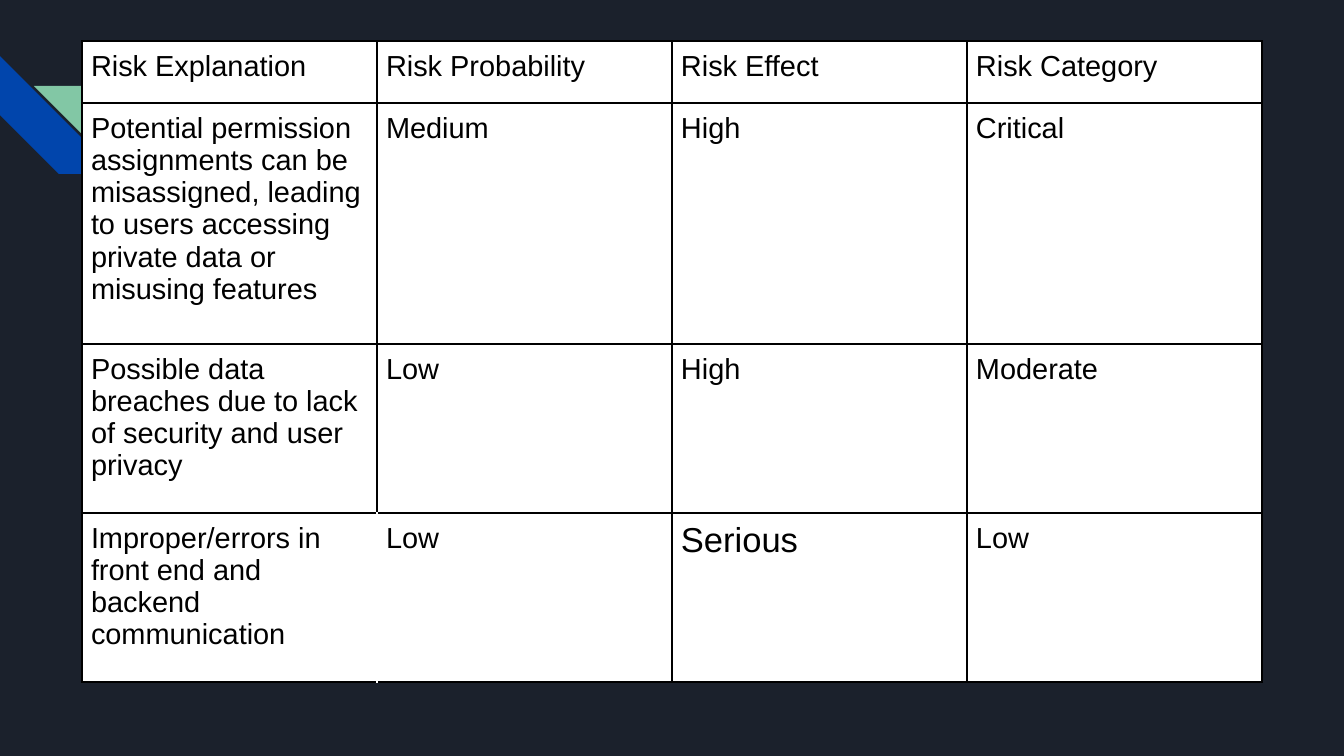
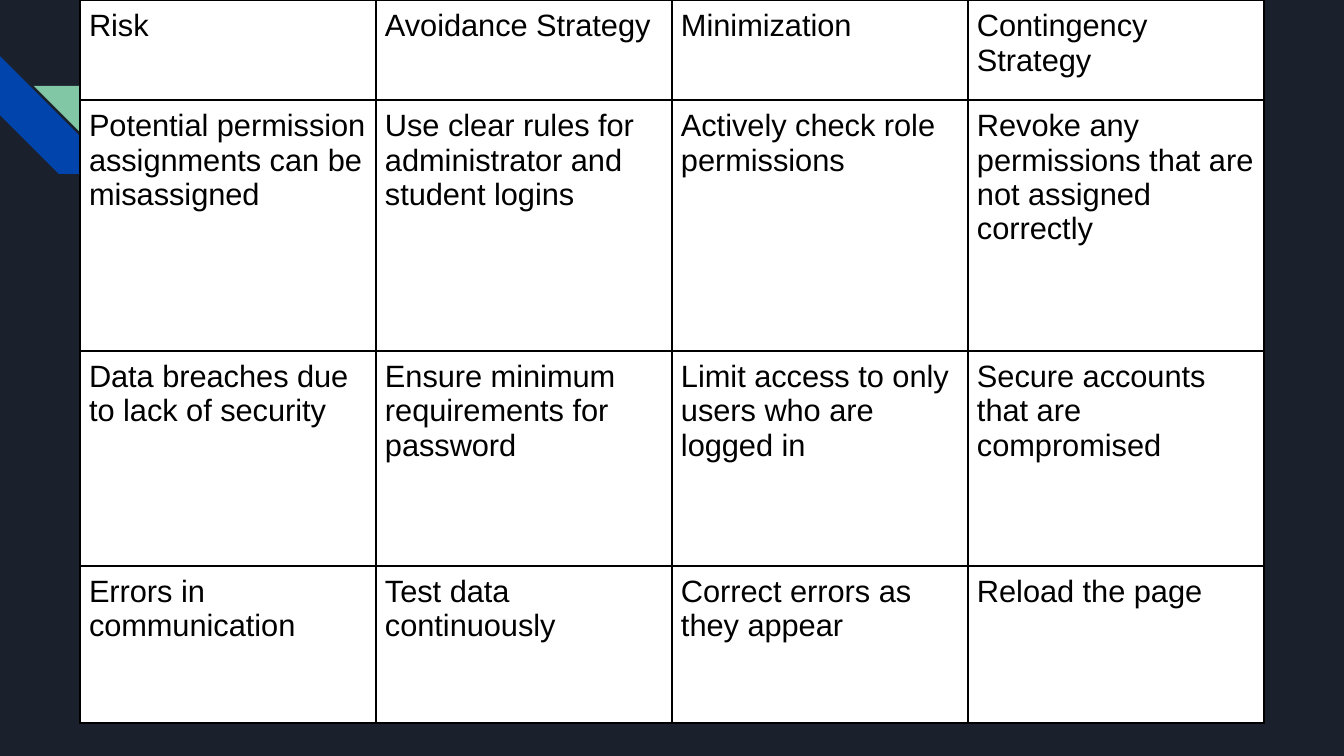
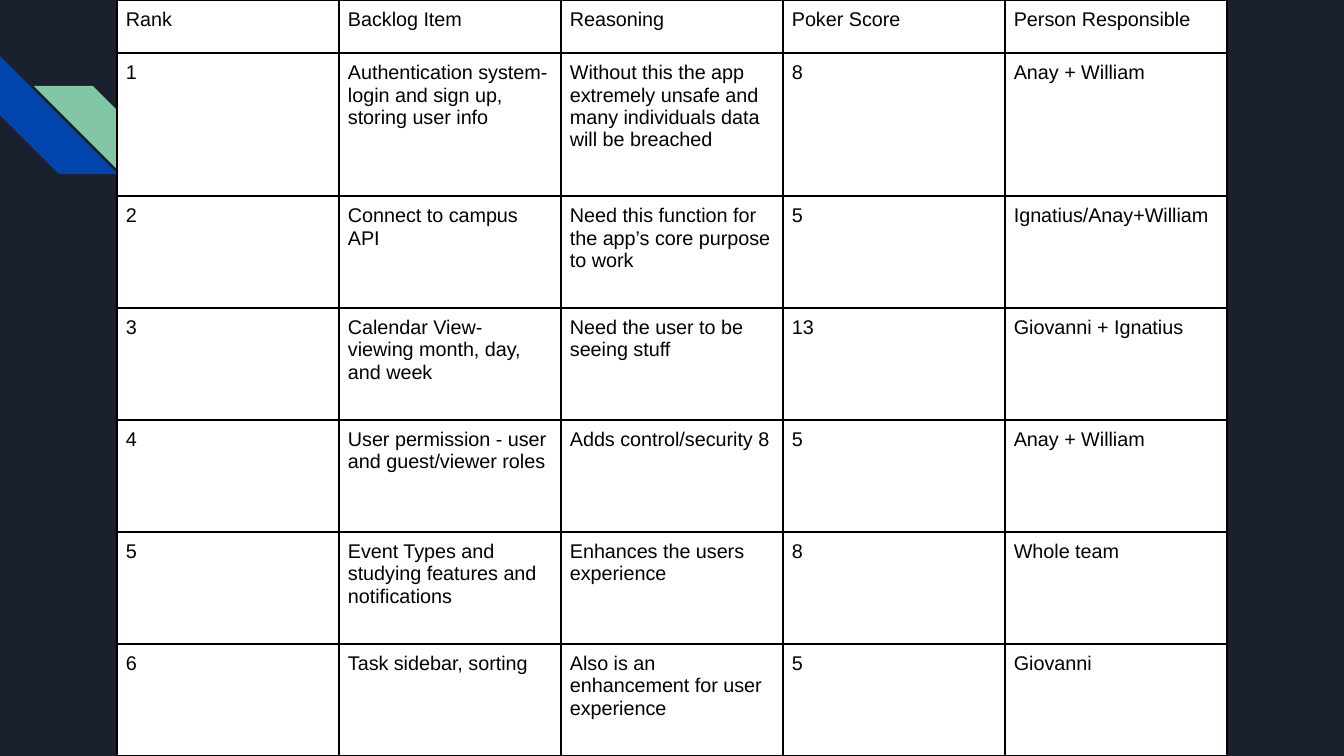
from lxml.etree import SubElement
from pptx import Presentation
from pptx.dml.color import RGBColor
from pptx.enum.shapes import MSO_SHAPE
from pptx.oxml.ns import qn
from pptx.util import Pt

EMU_PER_PX = 914400 / 134.4
SLIDE_WIDTH, SLIDE_HEIGHT = 1344, 756
CELL_MARGIN = 9
STRIPE_SIZE = 118
FONT = "Arial"

NAVY = RGBColor(0x1B, 0x21, 0x2C)
BLUE = RGBColor(0x01, 0x45, 0xAC)
GREEN = RGBColor(0x82, 0xC7, 0xA5)
WHITE = RGBColor(0xFF, 0xFF, 0xFF)
BLACK = RGBColor(0x00, 0x00, 0x00)

RISK_RATINGS = [
    ["Risk Explanation", "Risk Probability", "Risk Effect", "Risk Category"],
    ["Potential permission assignments can be misassigned, leading to users "
     "accessing private data or misusing features", "Medium", "High", "Critical"],
    ["Possible data breaches due to lack of security and user privacy",
     "Low", "High", "Moderate"],
    ["Improper/errors in front end and backend communication",
     "Low", "Serious", "Low"],
]

RISK_STRATEGIES = [
    ["Risk", "Avoidance Strategy", "Minimization", "Contingency Strategy"],
    ["Potential permission assignments can be misassigned",
     "Use clear rules for administrator and student logins",
     "Actively check role permissions",
     "Revoke any permissions that are not assigned correctly"],
    ["Data breaches due to lack of security",
     "Ensure minimum requirements for password",
     "Limit access to only users who are logged in",
     "Secure accounts that are compromised"],
    ["Errors in communication", "Test data continuously",
     "Correct errors as they appear", "Reload the page"],
]

BACKLOG = [
    ["Rank", "Backlog Item", "Reasoning", "Poker Score", "Person Responsible"],
    ["1", "Authentication system- login and sign up, storing user info",
     "Without this the app extremely unsafe and many individuals data will be breached",
     "8", "Anay + William"],
    ["2", "Connect to campus API",
     "Need this function for the app’s core purpose to work",
     "5", "Ignatius/Anay+William"],
    ["3", "Calendar View- viewing month, day, and week",
     "Need the user to be seeing stuff", "13", "Giovanni + Ignatius"],
    ["4", "User permission - user and guest/viewer roles",
     "Adds control/security 8", "5", "Anay + William"],
    ["5", "Event Types and studying features and notifications",
     "Enhances the users experience", "8", "Whole team"],
    ["6", "Task sidebar, sorting",
     "Also is an enhancement for user experience", "5", "Giovanni"],
]


def px(length):
    return round(length * EMU_PER_PX)


def add_stripe(slide, left, top, color):
    stripe = slide.shapes.add_shape(
        MSO_SHAPE.DIAGONAL_STRIPE, px(left), px(top), px(STRIPE_SIZE), px(STRIPE_SIZE))
    stripe.shadow.inherit = False
    stripe.fill.solid()
    stripe.fill.fore_color.rgb = color
    stripe.line.fill.background()
    return stripe


def style_master(presentation, slide):
    """Give the master its background and stripes; the stripes are drawn on slide, then moved."""
    master = presentation.slide_master
    master.background.fill.solid()
    master.background.fill.fore_color.rgb = NAVY
    blue_stripe = add_stripe(slide, 0, 56, BLUE)
    blue_stripe.rotation = 270
    green_stripe = add_stripe(slide, 34, 86, GREEN)
    green_stripe.element.spPr.find(qn("a:xfrm")).set("flipH", "1")
    for stripe in (blue_stripe, green_stripe):
        master.shapes.element.append(stripe.element)


def set_borders(cell, colors):
    """Draw 1 pt borders; colors maps the sides L, R, T, B that are not black."""
    properties = cell._tc.get_or_add_tcPr()
    for side in "LRTB":
        line = SubElement(properties, qn(f"a:ln{side}"), w=str(Pt(1)))
        fill = SubElement(line, qn("a:solidFill"))
        SubElement(fill, qn("a:srgbClr"), val=str(colors.get(side, BLACK)))


def format_cell(cell, text, size, border_colors):
    set_borders(cell, border_colors)
    cell.fill.solid()
    cell.fill.fore_color.rgb = WHITE
    cell.margin_left = cell.margin_right = px(CELL_MARGIN)
    cell.margin_top = cell.margin_bottom = px(CELL_MARGIN)
    cell.text_frame.text = text
    font = cell.text_frame.paragraphs[0].runs[0].font
    font.name = FONT
    font.size = Pt(size)
    font.color.rgb = BLACK


def add_grid(slide, left, top, column_width, row_heights, rows, size, border_colors=None):
    """Add a table; border_colors maps (row, column) to that cell's special sides."""
    border_colors = border_colors or {}
    column_count = len(rows[0])
    table = slide.shapes.add_table(
        len(rows), column_count, px(left), px(top),
        px(column_width * column_count), px(sum(row_heights))).table
    table.first_row = False
    table.horz_banding = False
    for column in table.columns:
        column.width = px(column_width)
    for row_index, (height, texts) in enumerate(zip(row_heights, rows)):
        table.rows[row_index].height = px(height)
        for column_index, text in enumerate(texts):
            format_cell(table.cell(row_index, column_index), text, size,
                        border_colors.get((row_index, column_index), {}))
    return table


def main():
    presentation = Presentation()
    presentation.slide_width = px(SLIDE_WIDTH)
    presentation.slide_height = px(SLIDE_HEIGHT)
    blank_layout = presentation.slide_layouts[6]
    ratings, strategies, backlog = [
        presentation.slides.add_slide(blank_layout) for _ in range(3)]
    style_master(presentation, ratings)

    ratings_table = add_grid(
        ratings, 82, 41, 295, [62, 241, 169, 169], RISK_RATINGS, 15.5,
        {(3, 0): {"R": WHITE}, (3, 1): {"L": WHITE}})
    serious = ratings_table.cell(3, 2).text_frame.paragraphs[0].runs[0]
    serious.font.size = Pt(18.5)

    add_grid(strategies, 80, 0, 296, [100, 251, 215, 157], RISK_STRATEGIES, 16.5)
    add_grid(backlog, 117, 0, 222, [53, 143] + [112] * 5, BACKLOG, 10.6)

    presentation.save("out.pptx")


if __name__ == "__main__":
    main()
